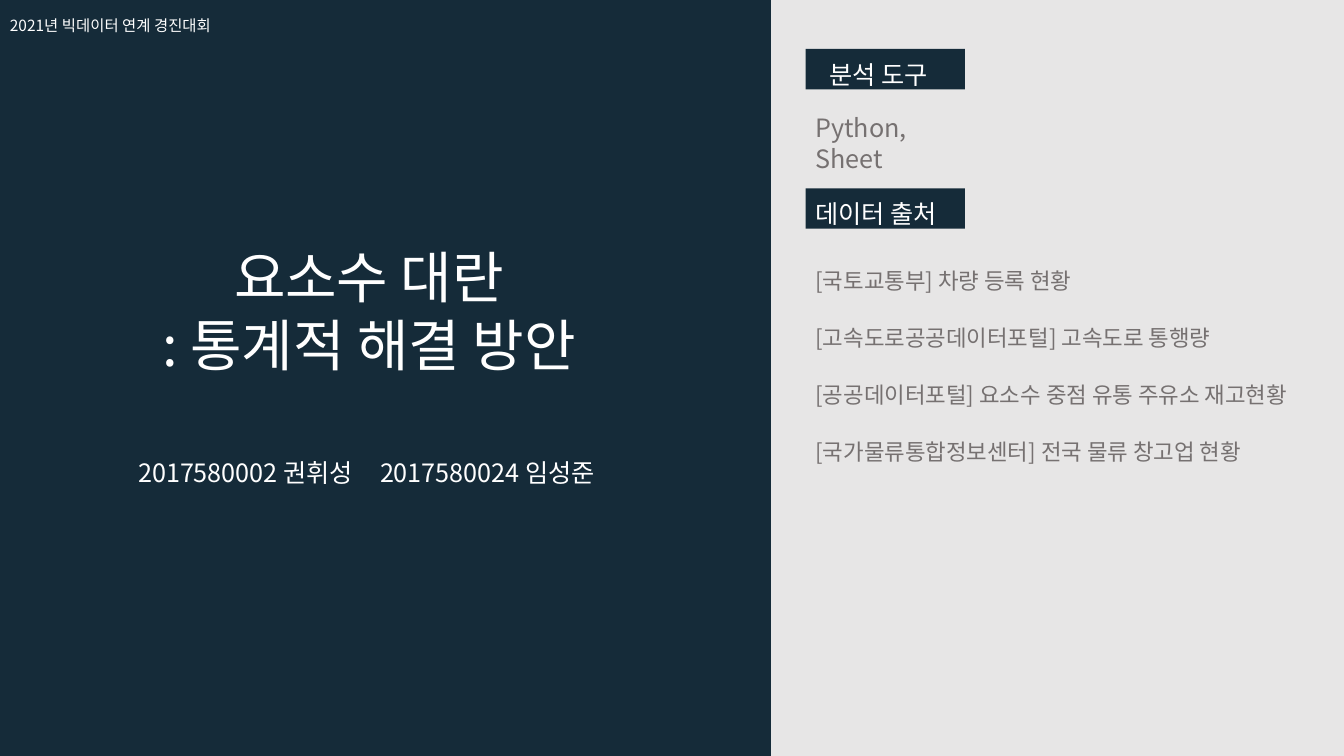
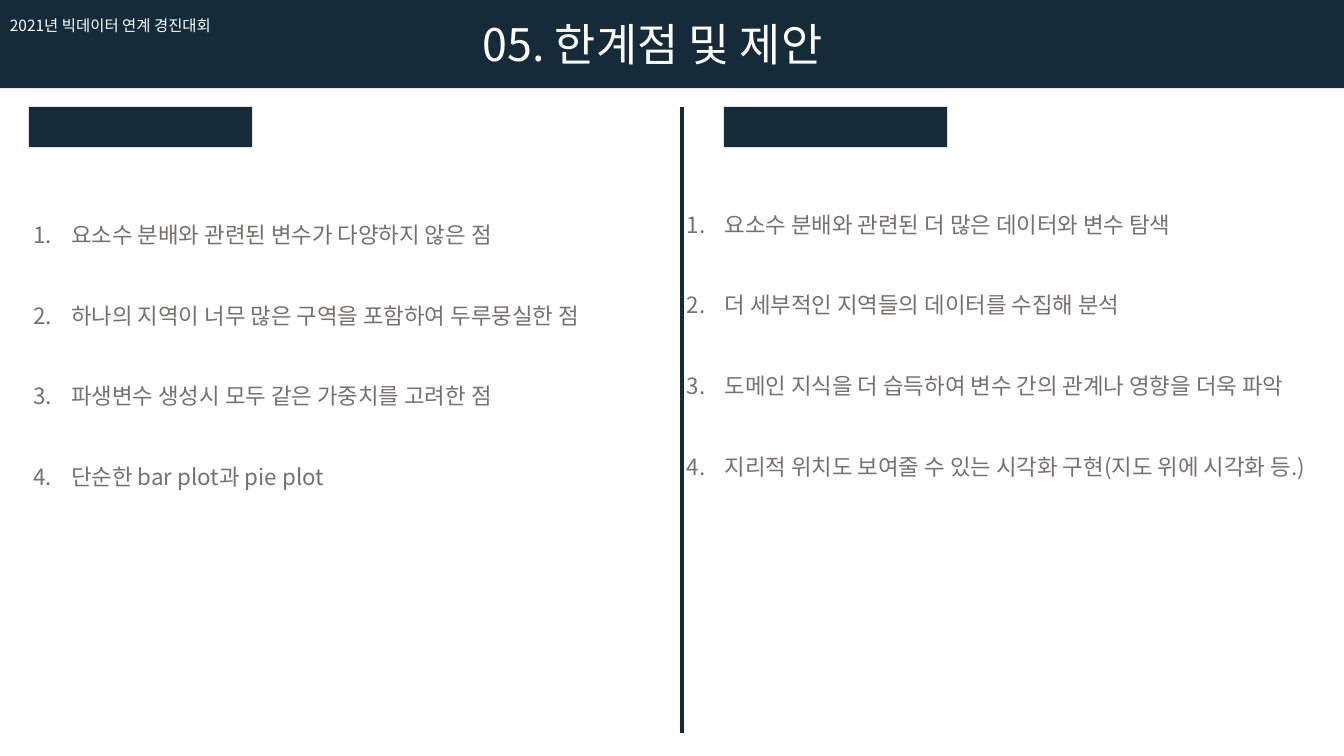
import pptx
import pptx.dml.color
import pptx.enum.shapes
import pptx.enum.text
import pptx.oxml
import pptx.oxml.ns
import pptx.util
from lxml import etree

Pt = pptx.util.Pt
qn = pptx.oxml.ns.qn
ALIGN = pptx.enum.text.PP_ALIGN

COLORS = {
    "navy": "152B39",
    "panel": "E7E6E6",
    "white": "FFFFFF",
    "body": "767171",
}
FONT = "Noto Sans CJK KR"
WIDTH, HEIGHT = 960, 540
SINGLE, WIDE = 1.22, 1.8
BAND_HEIGHT = 28.8


def rgb(name):
    return pptx.dml.color.RGBColor.from_string(COLORS[name])


def add_text(paragraph, text, size, color, outlined=False):
    run = paragraph.add_run()
    run.text = text
    run.font.size = Pt(size)
    run.font.name = FONT
    run.font.color.rgb = rgb(color)
    properties = run._r.get_or_add_rPr()
    etree.SubElement(properties, qn("a:ea")).set("typeface", FONT)
    if outlined:
        line = etree.Element(qn("a:ln"), w=str(Pt(0.75)))
        fill = etree.SubElement(line, qn("a:solidFill"))
        tint = etree.SubElement(fill, qn("a:srgbClr"), val=COLORS[color])
        etree.SubElement(tint, qn("a:alpha"), val="15000")
        properties.insert(0, line)


def write_paragraphs(frame, lines, size, color, spacing=SINGLE, gap=0,
                     align=ALIGN.LEFT, outlined=False):
    frame.auto_size = pptx.enum.text.MSO_AUTO_SIZE.NONE
    frame.vertical_anchor = pptx.enum.text.MSO_ANCHOR.TOP
    for index, text in enumerate(lines):
        paragraph = frame.add_paragraph() if index else frame.paragraphs[0]
        paragraph.alignment = align
        paragraph.line_spacing = Pt(round(size * spacing, 2))
        paragraph.space_before = Pt(0)
        paragraph.space_after = Pt(gap)
        add_text(paragraph, text, size, color, outlined)


def add_text_box(slide, box, lines, size, color, **style):
    frame = slide.shapes.add_textbox(*map(Pt, box)).text_frame
    frame.word_wrap = True
    write_paragraphs(frame, lines, size, color, **style)
    return frame


def add_rectangle(slide, box, color):
    shape = slide.shapes.add_shape(
        pptx.enum.shapes.MSO_SHAPE.RECTANGLE, *map(Pt, box))
    shape.shadow.inherit = False
    shape.fill.solid()
    shape.fill.fore_color.rgb = rgb(color)
    shape.line.fill.background()
    return shape


def add_label(slide, box, text, indent):
    frame = add_rectangle(slide, box, "navy").text_frame
    frame.word_wrap = True
    frame.margin_left = Pt(indent)
    frame.margin_right = frame.margin_top = frame.margin_bottom = Pt(0)
    write_paragraphs(frame, [text], 18, "white", spacing=1.6)


def format_title(slide, box, lines, size, align):
    title = slide.shapes.title
    title.left, title.top, title.width, title.height = map(Pt, box)
    title.text_frame.word_wrap = True
    write_paragraphs(title.text_frame, lines, size, "white", align=align)
    title.element.getparent().append(title.element)


def add_contest_name(slide):
    add_text_box(slide, (0, 1.5, 228, 24.5), ["2021년 빅데이터 연계 경진대회"],
                 11, "white", spacing=WIDE)


def add_slide(presentation, background):
    layout = presentation.slide_layouts.get_by_name("Title Only")
    slide = presentation.slides.add_slide(layout)
    slide.background.fill.solid()
    slide.background.fill.fore_color.rgb = rgb(background)
    return slide


def add_authors(slide, box, authors):
    frame = add_text_box(slide, box, ["\t".join(authors)], 18, "white", spacing=WIDE)
    properties = frame.paragraphs[0]._p.get_or_add_pPr()
    tabs = etree.SubElement(properties, qn("a:tabLst"))
    etree.SubElement(tabs, qn("a:tab"), pos=str(Pt(172.8)), algn="l")


def add_source_panel(slide, box):
    left, top, width, height = box
    add_rectangle(slide, box, "panel")
    margin = 24.6
    inner = left + margin
    for offset, text, indent in ((35, "분석 도구", 17), (134.6, "데이터 출처", 7.2)):
        add_label(slide, (inner, top + offset, 113.8, BAND_HEIGHT), text, indent)
    add_text_box(slide, (inner, top + 76.4, 100, 52), ["Python, Sheet"],
                 18, "body", outlined=True)
    sources = [
        "[국토교통부] 차량 등록 현황",
        "[고속도로공공데이터포털] 고속도로 통행량",
        "[공공데이터포털] 요소수 중점 유통 주유소 재고현황",
        "[국가물류통합정보센터] 전국 물류 창고업 현황",
    ]
    add_text_box(slide, (inner, top + 186.6, width - margin, 160), sources,
                 16, "body", gap=21.3, outlined=True)


def add_numbered_column(slide, label_box, list_box, items):
    add_rectangle(slide, label_box, "navy")
    frame = add_text_box(slide, list_box, items, 16, "body", spacing=WIDE,
                         gap=BAND_HEIGHT, outlined=True)
    for paragraph in frame.paragraphs:
        properties = paragraph._p.get_or_add_pPr()
        properties.set("marL", str(Pt(27)))
        properties.set("indent", str(-Pt(27)))
        etree.SubElement(properties, qn("a:buFont"), typeface="+mj-lt")
        etree.SubElement(properties, qn("a:buAutoNum"), type="arabicPeriod")


def add_divider(slide, x, top, bottom):
    divider = slide.shapes.add_connector(
        pptx.enum.shapes.MSO_CONNECTOR.STRAIGHT, *map(Pt, (x, top, x, bottom)))
    divider.line.color.rgb = rgb("navy")
    divider.line.width = Pt(3)
    etree.SubElement(divider.element.spPr, qn("a:effectLst"))


def build_cover(presentation):
    slide = add_slide(presentation, "navy")
    format_title(slide, (89, 168.5, 349.2, 104.5),
                 ["요소수 대란", ": 통계적 해결 방안"], 40, ALIGN.CENTER)
    add_authors(slide, (91.6, 312.5, 388, 36),
                ["2017580002 권휘성", "2017580024 임성준"])
    add_source_panel(slide, (550.8, 0, WIDTH - 550.8, HEIGHT))
    add_contest_name(slide)


def build_limits(presentation):
    slide = add_slide(presentation, "white")
    add_rectangle(slide, (0, 0, WIDTH, 63), "navy")
    format_title(slide, (337.5, 7.4, 300, 46), ["05. 한계점 및 제안"], 32, ALIGN.LEFT)
    add_contest_name(slide)
    add_divider(slide, 487.3, 76.3, 523.5)
    columns = [
        (20.6, 16.8, 144.7, [
            "요소수 분배와 관련된 변수가 다양하지 않은 점",
            "하나의 지역이 너무 많은 구역을 포함하여 두루뭉실한 점",
            "파생변수 생성시 모두 같은 가중치를 고려한 점",
            "단순한 bar plot과 pie plot",
        ]),
        (517, 483.5, 137.4, [
            "요소수 분배와 관련된 더 많은 데이터와 변수 탐색",
            "더 세부적인 지역들의 데이터를 수집해 분석",
            "도메인 지식을 더 습득하여 변수 간의 관계나 영향을 더욱 파악",
            "지리적 위치도 보여줄 수 있는 시각화 구현(지도 위에 시각화 등.)",
        ]),
    ]
    for label_left, list_left, list_top, items in columns:
        add_numbered_column(slide, (label_left, 76.3, 159.6, BAND_HEIGHT),
                            (list_left, list_top, 459.4, 265), items)


def main():
    presentation = pptx.Presentation()
    presentation.slide_width = Pt(WIDTH)
    presentation.slide_height = Pt(HEIGHT)
    build_cover(presentation)
    build_limits(presentation)
    presentation.save("out.pptx")


if __name__ == "__main__":
    main()
